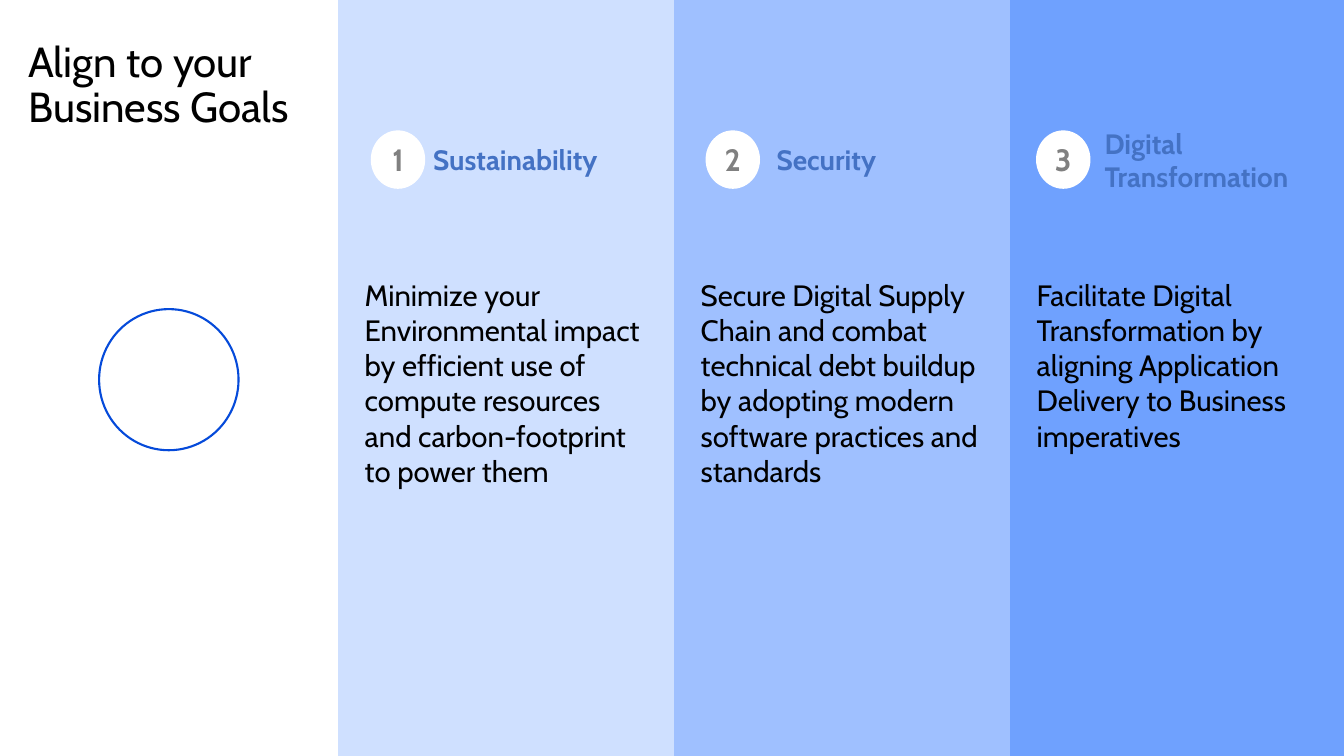
from pptx import Presentation
from pptx import util as u
from pptx.dml.color import RGBColor
from pptx.enum import shapes, text

WIDE, HIGH = 26.67, 15
COLS, ROWS = 80, 45
PITCH = 20
EDGE = 0.12
MID = 9.5
OVAL = shapes.MSO_SHAPE.OVAL
RECT = shapes.MSO_SHAPE.RECTANGLE
LEFT, MIDDLE = text.PP_ALIGN.LEFT, text.PP_ALIGN.CENTER
TOP, CENTER = text.MSO_ANCHOR.TOP, text.MSO_ANCHOR.MIDDLE


def shade(code):
    return RGBColor.from_string(code)


class Sheet:
    face = "Cabin"
    black, white, gray = "000000", "FFFFFF", "808080"
    blue, line = "4472C4", "054ADA"

    def __init__(self, deck):
        self.slide = deck.slides.add_slide(deck.slide_layouts[5])

    def box(self, col, row, wide, high):
        return (u.Inches(col * WIDE / COLS), u.Inches(row * HIGH / ROWS),
                u.Inches(wide * WIDE / COLS), u.Inches(high * HIGH / ROWS))

    def label(self, shape, words, size, color, bold=False, align=LEFT,
              anchor=TOP, pad=(0.1, 0.05, 0.1, 0.05)):
        frame = shape.text_frame
        frame.word_wrap = True
        frame.auto_size = text.MSO_AUTO_SIZE.NONE
        frame.vertical_anchor = anchor
        (frame.margin_left, frame.margin_top,
         frame.margin_right, frame.margin_bottom) = map(u.Inches, pad)
        para = frame.paragraphs[0]
        para.text = words
        para.alignment = align
        para.font.name, para.font.size = self.face, u.Pt(size)
        para.font.bold = bold
        para.font.color.rgb = shade(color)
        return para

    def form(self, home, kind, place, fill=None, line=None):
        shape = home.add_shape(kind, *self.box(*place))
        shape.shadow.inherit = False
        if fill:
            shape.fill.solid()
            shape.fill.fore_color.rgb = shade(fill)
        else:
            shape.fill.background()
        if line:
            shape.line.color.rgb = shade(line)
            shape.line.width = u.Pt(3)
        else:
            shape.line.fill.background()
        return shape

    def title(self, words):
        shape = self.slide.shapes.title
        shape.left, shape.top, shape.width, shape.height = self.box(1.38, 2.28, 18.1, 7.17)
        self.label(shape, words, 60, self.black).line_spacing = 0.9
        shape.element.getparent().append(shape.element)

    def panel(self, spot, fill, words=None):
        place = (EDGE + spot * PITCH, 0, PITCH, ROWS)
        shape = self.form(self.slide.shapes, RECT, place, fill)
        if words:
            self.label(shape, words, 42, self.black, pad=(0.53, 5.49, 0.53, 0.1))

    def head(self, spot, words, dot, start, wide, high):
        left = EDGE + spot * PITCH
        home = self.slide.shapes.add_group_shape().shapes
        name = home.add_textbox(*self.box(left + start, MID - high / 2, wide, high))
        self.label(name, words, 40, self.blue, bold=True, anchor=CENTER)
        badge = self.form(home, OVAL, (left + dot, MID - 1.74, 3.24, 3.48), self.white)
        self.label(badge, str(spot), 44, self.gray, bold=True, align=MIDDLE,
                   anchor=CENTER, pad=(0.1,) * 4)

    def icon(self):
        self.form(self.slide.shapes, OVAL, (5.9, 18.4, 8.3, 8.4), line=self.line)


GOALS = [
    ("Sustainability", "CFE0FF", (1.95, 5.37, 11.07, 2.31),
     "Minimize your Environmental impact by efficient use of compute "
     "resources and carbon-footprint to power them"),
    ("Security", "9FC0FF", (1.88, 5.81, 6.9, 2.31),
     "Secure Digital Supply Chain and combat technical debt buildup by "
     "adopting modern software practices and standards"),
    ("Digital\vTransformation", "6FA1FE", (1.55, 5.33, 12.54, 4.35),
     "Facilitate Digital Transformation by aligning Application Delivery "
     "to Business imperatives"),
]


def main():
    deck = Presentation()
    deck.slide_width, deck.slide_height = u.Inches(WIDE), u.Inches(HIGH)
    sheet = Sheet(deck)
    for spot, (name, fill, place, words) in enumerate(GOALS, 1):
        sheet.panel(spot, fill, words)
        sheet.head(spot, name, *place)
    sheet.panel(0, sheet.white)
    sheet.icon()
    sheet.title("Align to your\vBusiness Goals")
    deck.save("out.pptx")


if __name__ == "__main__":
    main()
